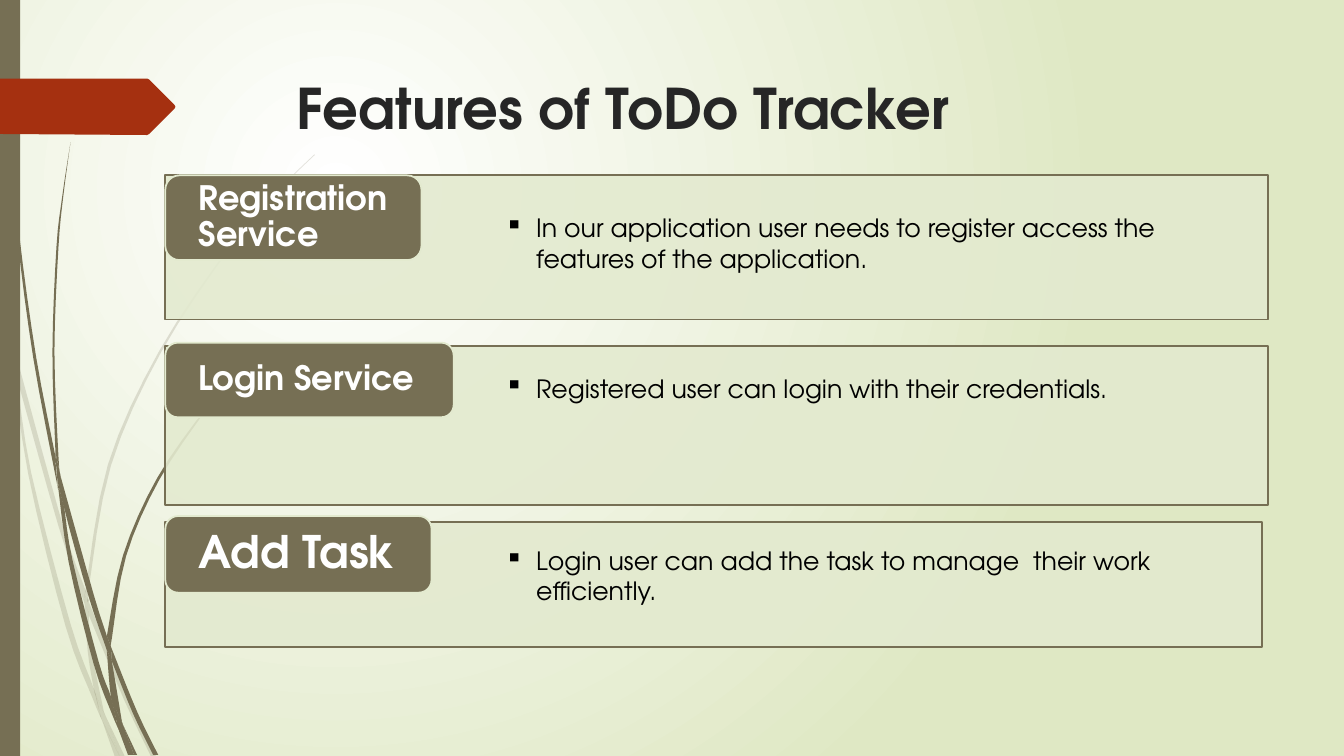
from dataclasses import dataclass
from lxml.etree import SubElement
from pptx import Presentation
from pptx.dml.color import RGBColor
from pptx.enum.shapes import MSO_SHAPE
from pptx.enum.text import MSO_ANCHOR, MSO_AUTO_SIZE, PP_ALIGN
from pptx.oxml.ns import qn
from pptx.util import Inches, Pt

FONT = "TeX Gyre Adventor"
OLIVE = RGBColor(0x76, 0x6F, 0x54)
PALE = RGBColor(0xE3, 0xEA, 0xCF)
GREEN = RGBColor(0xDF, 0xE8, 0xC4)
RUST = RGBColor(0xA5, 0x30, 0x10)
DARK = RGBColor(0x26, 0x26, 0x26)
WHITE = RGBColor(0xFF, 0xFF, 0xFF)
BLACK = RGBColor(0, 0, 0)
LEFT = 1.64
STEPS = 4

Edge = tuple[tuple[float, float], ...]


@dataclass
class Blade:
    out: Edge
    back: Edge


@dataclass
class Panel:
    top: float
    width: float
    height: float
    tab: tuple[float, float, float]
    label: str
    size: int
    note: tuple[float, float, float]
    text: str


FAINT = (
    Blade(((0.11, 3.5), (0.09, 3.22), (0, 2.82)), ((0, 2.99), (0.1, 3.44))),
    Blade(((0.14, 3.45), (0.62, 5.2), (0.85, 5.86)),
          ((0.84, 5.99), (0.58, 5.22), (0.17, 3.76))),
    Blade(((0.88, 5.96), (0.92, 6.07), (1.27, 6.92), (1.55, 7.51)),
          ((1.5, 7.51), (1.23, 6.94), (0.88, 6.1))),
    Blade(((1.19, 7.51), (1.24, 7.51)), ((1.05, 7.11),)),
    Blade(((0.11, 3.5), (0.28, 4.7), (0.65, 6.21), (0.92, 6.93), (1.01, 7.14)),
          ((0.99, 7.07), (0.93, 6.83), (0.7, 6.19), (0.31, 4.69), (0.17, 3.76))),
    Blade(((0.84, 5.99), (0.87, 6.46), (0.93, 6.83), (0.96, 6.92), (1.05, 7.11)),
          ((1.03, 7.06), (0.91, 6.46), (0.88, 6.1), (0.88, 6.08))),
    Blade(((0.88, 5.96), (0.88, 5.84), (1.1, 4.62), (1.6, 3.49), (2.29, 2.45),
           (2.68, 1.98), (2.9, 1.75), (3.12, 1.54)),
          ((3.12, 1.53), (2.89, 1.75), (2.68, 1.97), (2.28, 2.44), (1.58, 3.48),
           (1.07, 4.61), (0.85, 5.84), (0.85, 5.86))),
    Blade(((1.01, 7.14), (1.14, 7.51)), ((1.19, 7.51),)),
    Blade(((0.88, 6.08), (0.88, 6.1), (0.88, 5.96)), ((0.85, 5.86), (0.84, 5.99))),
    Blade(((0.93, 6.83), (0.99, 7.07), (1.01, 7.14), (1.19, 7.51)),
          ((1.05, 7.11), (0.96, 6.92))),
)
STRONG = (
    Blade(((0.03, 0), (0.04, 0.48), (0.07, 1.1), (0.17, 2.33), (0.33, 3.55),
           (0.56, 4.77), (0.57, 4.81)),
          ((0.55, 4.57), (0.55, 4.53), (0.36, 3.55), (0.19, 2.32), (0.08, 1.09),
           (0.05, 0.48), (0.04, 0))),
    Blade(((0.6, 4.72), (0.64, 5.05), (0.88, 5.92), (1.06, 6.45)),
          ((1.06, 6.33), (1.06, 6.31), (0.93, 5.9), (0.6, 4.72))),
    Blade(((1.1, 6.41), (1.13, 6.49), (1.36, 7.06), (1.57, 7.49)),
          ((1.52, 7.49), (1.32, 7.08), (1.11, 6.56))),
    Blade(((0.57, 4.77), (0.68, 5.57), (0.93, 6.59), (1.11, 7.08), (1.17, 7.22)),
          ((1.16, 7.17), (1.1, 6.91), (0.98, 6.57), (0.72, 5.56), (0.64, 5.05))),
    Blade(((0.6, 4.72), (0.58, 4.53), (0.54, 3.49), (0.58, 2.45), (0.63, 1.93),
           (0.7, 1.41)),
          ((0.7, 1.41), (0.62, 1.93), (0.56, 2.45), (0.52, 3.49), (0.55, 4.49))),
    Blade(((1.33, 7.49), (1.36, 7.49)), ((1.22, 7.19),)),
    Blade(((0.57, 4.77), (0.64, 5.05), (0.6, 4.72)), ((0.55, 4.49), (0.55, 4.53))),
    Blade(((1.1, 6.41), (1.11, 6.33), (1.25, 5.52), (1.58, 4.76), (2.05, 4.06),
           (2.31, 3.74), (2.45, 3.59), (2.61, 3.44)),
          ((2.6, 3.44), (2.45, 3.58), (2.31, 3.73), (2.04, 4.05), (1.56, 4.74),
           (1.22, 5.51), (1.06, 6.31))),
    Blade(((1.17, 7.22), (1.27, 7.49)), ((1.31, 7.49),)),
    Blade(((1.06, 6.45), (1.1, 6.91), (1.16, 7.06), (1.22, 7.19)),
          ((1.21, 7.16), (1.11, 6.56), (1.09, 6.51))),
    Blade(((1.06, 6.45), (1.09, 6.51), (1.11, 6.56)), ((1.1, 6.41), (1.06, 6.31))),
    Blade(((1.1, 6.91), (1.16, 7.17), (1.17, 7.22), (1.3, 7.49)),
          ((1.33, 7.49), (1.22, 7.19), (1.16, 7.06))),
)
ARROW = ((0, 0.78), (1.46, 0.78), (1.48, 0.79), (1.73, 1.04), (1.74, 1.06),
         (1.73, 1.08), (1.48, 1.33), (1.46, 1.34), (0, 1.33))
PANELS = (
    Panel(1.74, 10.94, 1.43, (1.74, 2.54, 0.84), "Registration Service", 24, (2.06, 7.68, 0.71),
          "In our application user needs to register access the features of the application."),
    Panel(3.43, 10.94, 1.58, (3.4, 2.86, 0.74), "Login Service", 24, (3.65, 7.82, 0.4),
          "Registered user can login with their credentials."),
    Panel(5.18, 10.88, 1.24, (5.12, 2.64, 0.76), "Add Task", 32, (5.36, 7.82, 0.71),
          "Login user can add the task to manage  their work efficiently."),
)


def smooth(edge: Edge) -> Edge:
    pts = (edge[0], *edge, edge[-1])
    dots = [edge[0]]
    for a, b, c, d in zip(pts, pts[1:], pts[2:], pts[3:]):
        for step in range(1, STEPS + 1):
            t = step / STEPS
            dots.append(tuple(
                q + t * (r - p) / 2 + t * t * (2 * p - 5 * q + 4 * r - s) / 2
                + t ** 3 * (3 * q - p - 3 * r + s) / 2
                for p, q, r, s in zip(a, b, c, d)))
    return tuple(dots)


def paint(shape, fill: RGBColor, line: RGBColor | None = None, alpha: int = 100) -> None:
    shape.shadow.inherit = False
    shape.fill.solid()
    shape.fill.fore_color.rgb = fill
    if alpha < 100:
        tint = shape._element.spPr.find(qn("a:solidFill"))[0]
        SubElement(tint, qn("a:alpha"), val=str(alpha * 1000))
    if line is None:
        shape.line.fill.background()
    else:
        shape.line.color.rgb = line
        shape.line.width = Pt(1.25)


def trace(shapes, edge: Edge, fill: RGBColor, alpha: int = 100) -> None:
    dots = [(Inches(x), Inches(y)) for x, y in edge]
    form = shapes.build_freeform(*dots[0], scale=1)
    form.add_line_segments(dots[1:], close=True)
    paint(form.convert_to_shape(), fill, alpha=alpha)


def box(shapes, kind: MSO_SHAPE, x: float, y: float, w: float, h: float):
    return shapes.add_shape(kind, Inches(x), Inches(y), Inches(w), Inches(h))


def write(frame, text: str, size: int, tone: RGBColor, bold: bool = False):
    frame.word_wrap = True
    para = frame.paragraphs[0]
    para.alignment = PP_ALIGN.LEFT
    run = para.add_run()
    run.text = text
    run.font.name = FONT
    run.font.size = Pt(size)
    run.font.bold = bold
    run.font.color.rgb = tone
    return para


def draw(shapes, panel: Panel) -> None:
    back = box(shapes, MSO_SHAPE.RECTANGLE, LEFT, panel.top, panel.width, panel.height)
    paint(back, PALE, OLIVE, 90)
    top, width, height = panel.tab
    tab = box(shapes, MSO_SHAPE.ROUNDED_RECTANGLE, LEFT, top, width, height)
    paint(tab, OLIVE, PALE)
    frame = tab.text_frame
    frame.margin_left = frame.margin_right = Inches(0.29)
    frame.margin_top = frame.margin_bottom = 0
    frame.vertical_anchor = MSO_ANCHOR.MIDDLE
    write(frame, panel.label, panel.size, WHITE, True).line_spacing = 0.9


def note(shapes, panel: Panel) -> None:
    top, width, height = panel.note
    area = shapes.add_textbox(Inches(4.91), Inches(top), Inches(width), Inches(height))
    para = write(area.text_frame, panel.text, 18, BLACK)
    area.text_frame.auto_size = MSO_AUTO_SIZE.SHAPE_TO_FIT_TEXT
    props = para._p.get_or_add_pPr()
    props.set("marL", str(Inches(0.31)))
    props.set("indent", str(Inches(-0.31)))
    SubElement(props, qn("a:buChar"), char="▪")


def shade(slide) -> None:
    fill = slide.background.fill
    fill.gradient()
    for stop, tone in zip(fill.gradient_stops, (WHITE, GREEN)):
        stop.color.rgb = tone
    grad = slide._element.find(".//" + qn("a:gradFill"))
    grad.remove(grad.find(qn("a:lin")))
    ring = SubElement(grad, qn("a:path"), path="circle")
    SubElement(ring, qn("a:fillToRect"), l="50000", t="50000", r="100000", b="100000")


def main() -> None:
    deck = Presentation()
    deck.slide_width, deck.slide_height = Inches(13.33), Inches(7.5)
    slide = deck.slides.add_slide(deck.slide_layouts[5])
    shapes = slide.shapes
    shade(slide)
    for group, alpha in ((FAINT, 20), (STRONG, 100)):
        for blade in group:
            trace(shapes, smooth(blade.out) + smooth(blade.back), OLIVE, alpha)
    paint(box(shapes, MSO_SHAPE.RECTANGLE, 0, 0, 0.2, 7.5), OLIVE)
    trace(shapes, ARROW, RUST)
    title = shapes.title
    title.left, title.top = Inches(2.84), Inches(0.68)
    title.width, title.height = Inches(9.75), Inches(1.4)
    title.text_frame.vertical_anchor = MSO_ANCHOR.TOP
    title.text_frame.auto_size = MSO_AUTO_SIZE.NONE
    write(title.text_frame, "Features of ToDo Tracker", 40, DARK, True)
    for panel in PANELS:
        draw(shapes, panel)
    for panel in PANELS:
        note(shapes, panel)
    deck.save("out.pptx")


if __name__ == "__main__":
    main()
